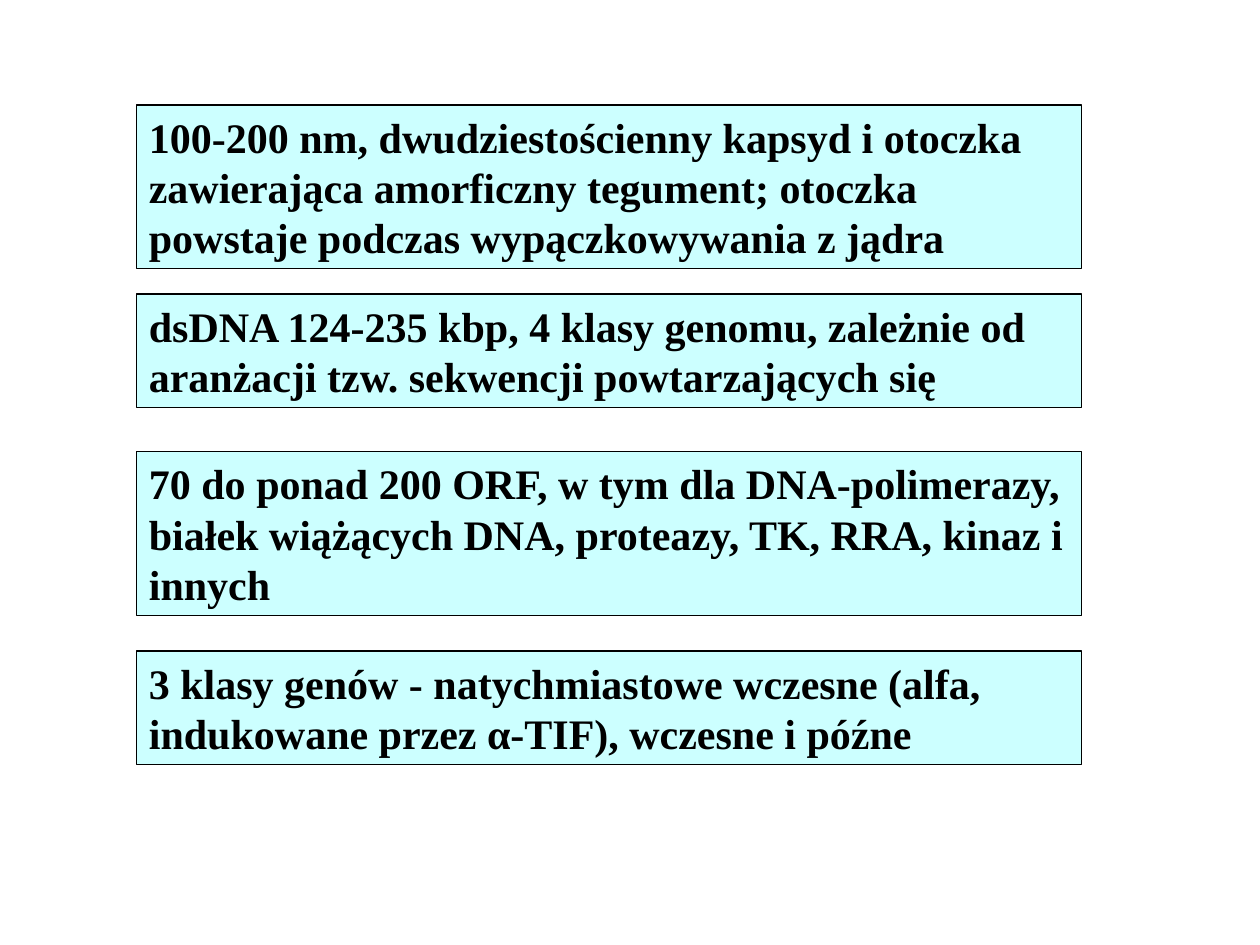
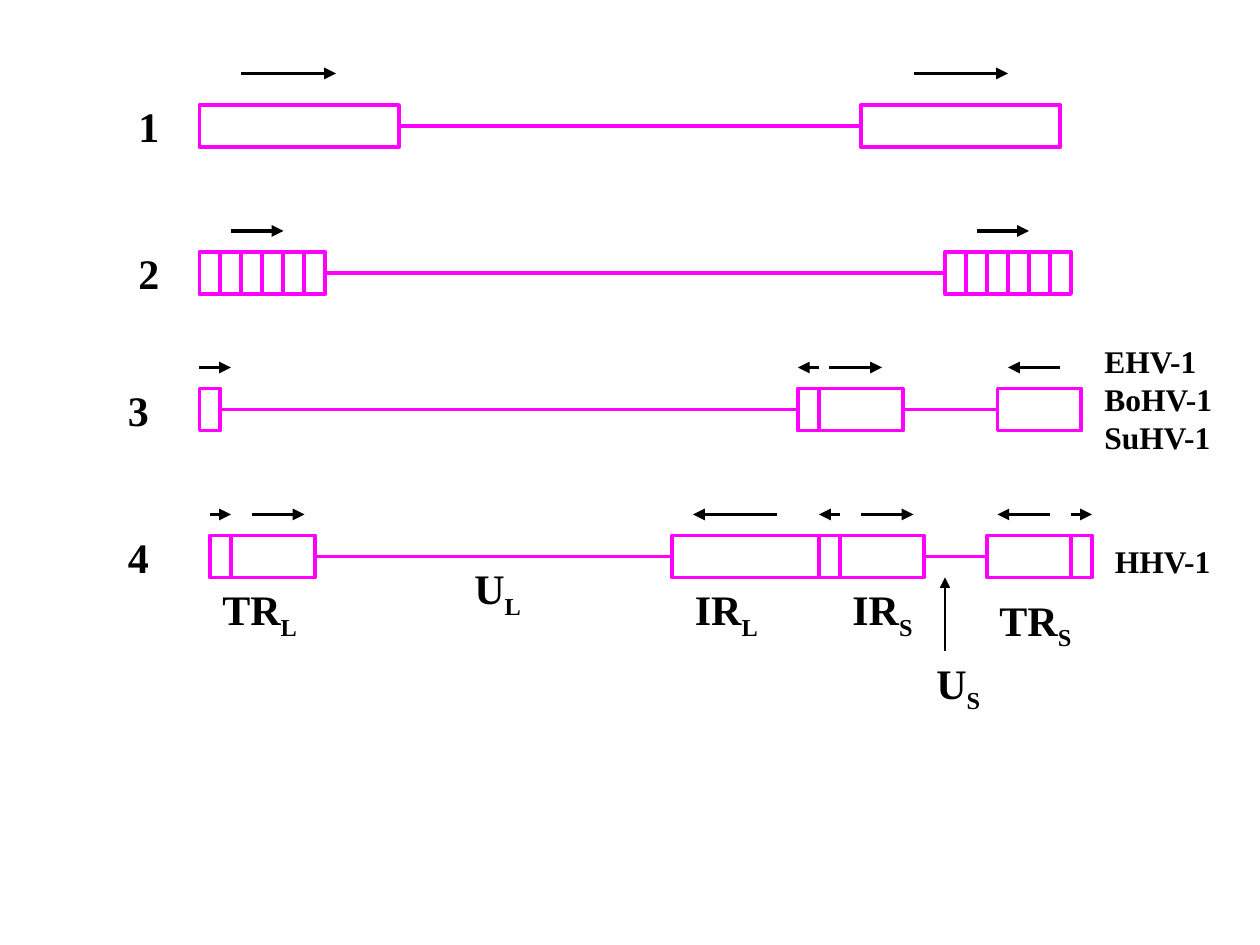
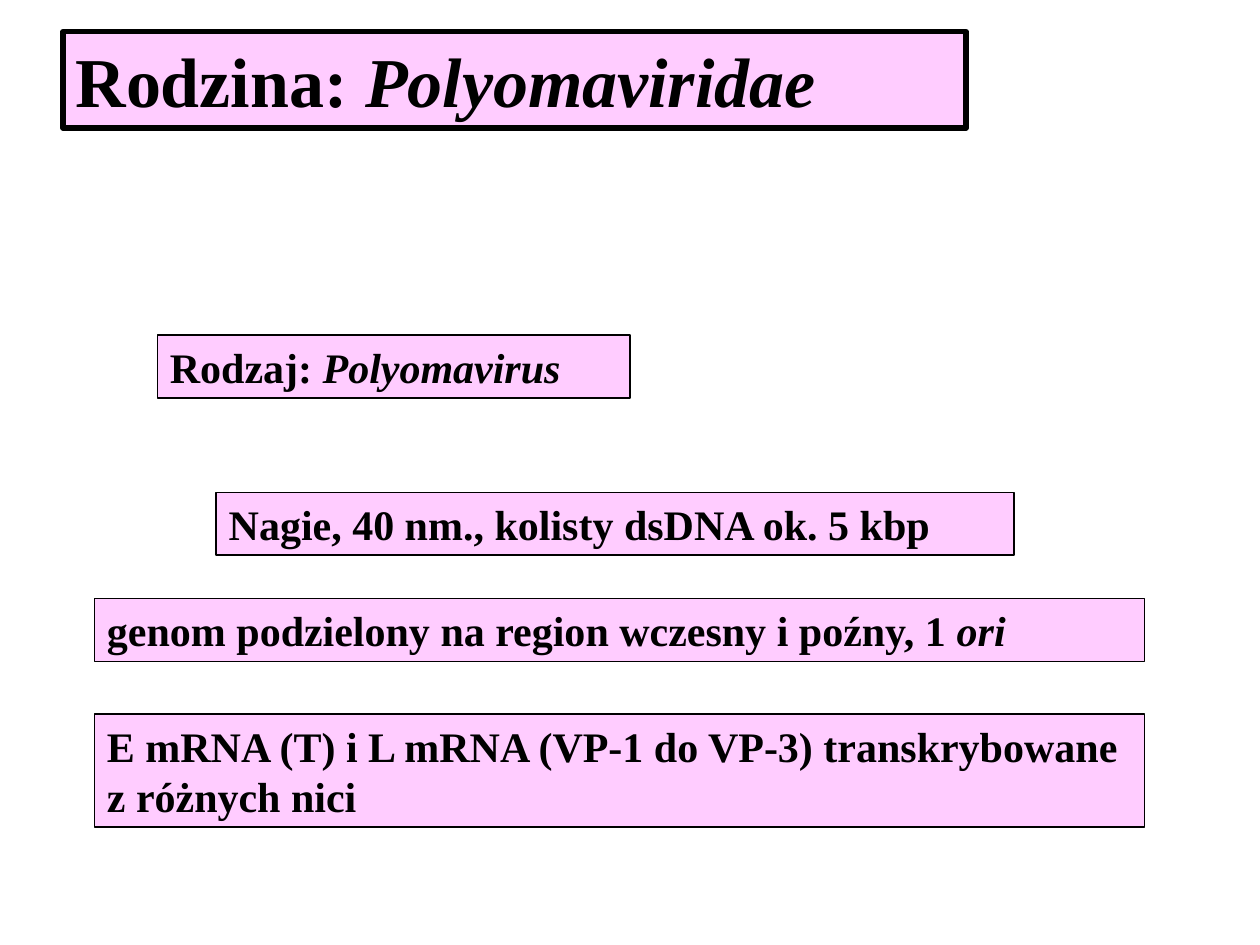
from lxml import etree
from pptx import Presentation
from pptx.dml.color import RGBColor
from pptx.enum.shapes import MSO_CONNECTOR, MSO_SHAPE
from pptx.enum.text import MSO_ANCHOR, MSO_AUTO_SIZE, PP_ALIGN
from pptx.oxml.ns import qn
from pptx.util import Pt

PX = 7620  # 120 px to the inch
RECT = MSO_SHAPE.RECTANGLE
STRAIGHT = MSO_CONNECTOR.STRAIGHT
TOP = MSO_ANCHOR.TOP
LEFT = PP_ALIGN.LEFT
NO_FIT = MSO_AUTO_SIZE.NONE
FONT = "Times New Roman"
BLACK, MAGENTA, CYAN, PINK = "000000", "FF00FF", "CCFFFF", "FFCCFF"
rgb = RGBColor.from_string


def write(sp, text, accent="", size=24, subscript=False):
    """Fill sp with bold text and an accent run, italic or subscript."""
    tf = sp.text_frame
    tf.word_wrap = True
    tf.auto_size = NO_FIT
    tf.vertical_anchor = TOP
    p = tf.paragraphs[0]
    p.alignment = LEFT
    for part in filter(None, (text, accent)):
        r = p.add_run()
        r.text = part
        r.font.name = FONT
        r.font.size = Pt(size)
        r.font.bold = True
        r.font.color.rgb = rgb(BLACK)
        if part == accent and subscript:
            r._r.get_or_add_rPr().set("baseline", "-25000")
        elif part == accent:
            r.font.italic = True


def paint(sp, fill, line, width):
    if fill:
        sp.fill.solid()
        sp.fill.fore_color.rgb = rgb(fill)
    else:
        sp.fill.background()
    sp.line.color.rgb = rgb(line)
    sp.line.width = Pt(width)
    sp.shadow.inherit = False


prs = Presentation()
prs.slide_width, prs.slide_height = 1200 * PX, 900 * PX
title_only, blank = prs.slide_layouts[5], prs.slide_layouts[6]
herpes = prs.slides.add_slide(blank)
genomes = prs.slides.add_slide(blank)
polyoma = prs.slides.add_slide(title_only)

# Framed statements: left, top, width, height, text, italic ending
herpes_facts = [
    (130, 100, 900, 156, "100-200 nm, dwudziestościenny kapsyd i otoczka zawierająca amorficzny "
     "tegument; otoczka powstaje podczas wypączkowywania z jądra", ""),
    (130, 280, 900, 108, "dsDNA 124-235 kbp, 4 klasy genomu, zależnie od aranżacji tzw. "
     "sekwencji powtarzających się", ""),
    (130, 430, 900, 156, "70 do ponad 200 ORF, w tym dla DNA-polimerazy, białek wiążących DNA, "
     "proteazy, TK, RRA, kinaz i innych", ""),
    (130, 620, 900, 108, "3 klasy genów - natychmiastowe wczesne (alfa, indukowane przez α-TIF), "
     "wczesne i późne", ""),
]
polyoma_facts = [
    (150, 319, 450, 60, "Rodzaj: ", "Polyomavirus"),
    (206, 469, 760, 60, "Nagie, 40 nm., kolisty dsDNA ok. 5 kbp", ""),
    (90, 570, 1000, 60, "genom podzielony na region wczesny i poźny, 1 ", "ori"),
    (90, 680, 1000, 108, "E mRNA (T) i L mRNA (VP-1 do VP-3) transkrybowane z różnych nici", ""),
]
for s, fill, width, facts in [(herpes, CYAN, 0.75, herpes_facts), (polyoma, PINK, 1, polyoma_facts)]:
    for x, y, w, h, text, accent in facts:
        sp = s.shapes.add_shape(RECT, x * PX, y * PX, w * PX, h * PX)
        paint(sp, fill, BLACK, width)
        write(sp, text, accent)

title = polyoma.shapes.title
title.left, title.top, title.width, title.height = 60 * PX, 30 * PX, 860 * PX, 92 * PX
paint(title, PINK, BLACK, 3)
write(title, "Rodzina: ", "Polyomaviridae", size=40)

# Genome classes: label left, top, arrow gap, repeats (left, width), arrows (from, to)
classes = [
    (120, 100, 30, [(190, 190), (820, 190)], [(230, 320), (870, 960)]),
    (120, 240, 20, [(start + 20 * i, 20) for start in (190, 900) for i in range(6)],
     [(220, 270), (930, 980)]),
    (110, 370, 20, [(190, 20), (760, 20), (780, 80), (950, 80)],
     [(190, 220), (780, 760), (790, 840), (1010, 960)]),
    (110, 510, 20, [(200, 20), (220, 80), (640, 140), (780, 20), (800, 80), (940, 80), (1020, 20)],
     [(200, 220), (240, 290), (740, 660), (800, 780), (820, 870), (1000, 950), (1020, 1040)]),
]
labels = []  # left, top, width, height, text, subscript, size
lines = [(900, 620, 900, 550, BLACK, 0.75)]  # the pointer to US
for number, (label_x, top, gap, repeats, arrows) in enumerate(classes, 1):
    labels.append((label_x, top - 10, 70, 60, str(number), "", 24))
    for x, w in repeats:
        sp = genomes.shapes.add_shape(RECT, x * PX, top * PX, w * PX, 40 * PX)
        paint(sp, None, MAGENTA, 2.25)
    for (x, w), (next_x, _) in zip(repeats, repeats[1:]):
        if next_x > x + w:
            lines.append((x + w, top + 20, next_x, top + 20, MAGENTA, 2.25))
    for start, end in arrows:
        lines.append((start, top - gap, end, top - gap, BLACK, 2.25))

for x1, y1, x2, y2, color, width in lines:
    cn = genomes.shapes.add_connector(STRAIGHT, x1 * PX, y1 * PX, x2 * PX, y2 * PX)
    cn.line.color.rgb = rgb(color)
    cn.line.width = Pt(width)
    if color == BLACK:
        etree.SubElement(cn.line._get_or_add_ln(), qn("a:tailEnd"), type="triangle")
    etree.SubElement(cn._element.spPr, qn("a:effectLst"))

labels += [
    (200, 550, 140, 67, "TR", "L", 24),
    (440, 530, 100, 67, "U", "L", 24),
    (650, 550, 120, 67, "IR", "L", 24),
    (800, 550, 110, 67, "IR", "S", 24),
    (880, 620, 90, 67, "U", "S", 24),
    (940, 560, 100, 67, "TR", "S", 24),
    (1040, 320, 130, 120, "EHV-1 BoHV-1 SuHV-1", "", 18),
    (1050, 510, 120, 48, "HHV-1", "", 18),
]
for x, y, w, h, text, sub, size in labels:
    tb = genomes.shapes.add_textbox(x * PX, y * PX, w * PX, h * PX)
    write(tb, text, sub, size, subscript=True)

prs.save("out.pptx")
